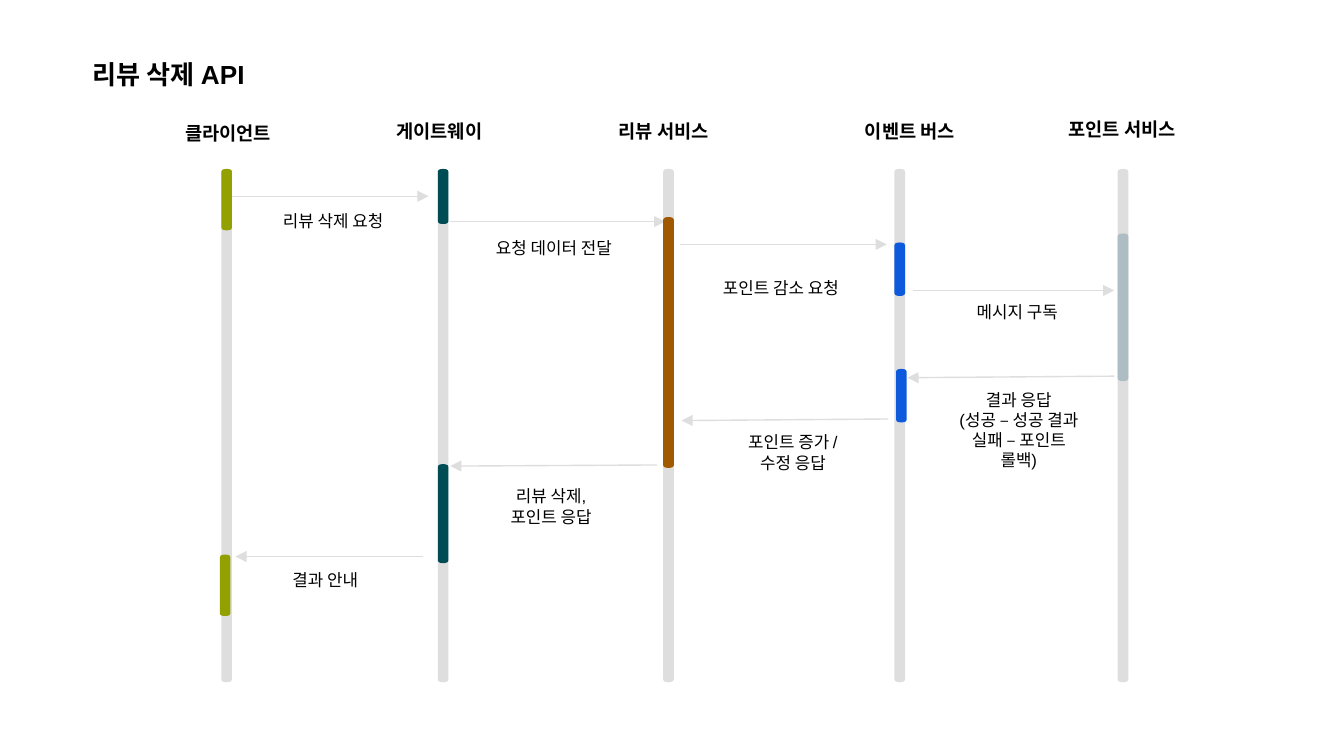
from typing import NamedTuple

from lxml import etree
from pptx import Presentation
from pptx.dml.color import RGBColor
from pptx.enum.shapes import MSO_CONNECTOR, MSO_SHAPE
from pptx.enum.text import MSO_ANCHOR, MSO_AUTO_SIZE, PP_ALIGN
from pptx.oxml.ns import qn
from pptx.util import Cm, Pt

CAN = MSO_SHAPE.CAN
STRAIGHT = MSO_CONNECTOR.STRAIGHT
TOP = MSO_ANCHOR.TOP
NO_FIT = MSO_AUTO_SIZE.NONE
LEFT, CENTER = PP_ALIGN.LEFT, PP_ALIGN.CENTER

BLACK = RGBColor(0x00, 0x00, 0x00)
GRAY = RGBColor(0xDE, 0xDE, 0xDE)
OLIVE = RGBColor(0x92, 0xA0, 0x00)
TEAL = RGBColor(0x00, 0x4C, 0x54)
BROWN = RGBColor(0xA0, 0x59, 0x00)
BLUE = RGBColor(0x0D, 0x5B, 0xDC)
STEEL = RGBColor(0xAE, 0xBC, 0xC4)

FONT = "Arial"
INSET = Cm(0.25)
LABEL_WIDTH = 2.79
HEADING_HEIGHT = 0.94
BAR_WIDTH = 0.13
LANE_TOP, LANE_HEIGHT = 3.23, 9.63


class Lane(NamedTuple):
    name: str
    left: float
    heading_left: float
    heading_top: float


class Activation(NamedTuple):
    left: float
    top: float
    height: float
    color: RGBColor


class Message(NamedTuple):
    start: tuple[float, float]
    end: tuple[float, float]
    label_left: float
    label_top: float
    label_height: float
    lines: tuple[str, ...]


LANES = [
    Lane("클라이언트", 4.22, 2.92, 2.06),
    Lane("게이트웨이", 8.31, 6.91, 2.01),
    Lane("리뷰 서비스", 12.57, 11.15, 2.01),
    Lane("이벤트 버스", 16.94, 15.8, 2.01),
    Lane("포인트 서비스", 21.16, 19.81, 1.98),
]

ACTIVATIONS = [
    Activation(4.22, 3.23, 1.09, OLIVE),
    Activation(8.31, 3.23, 0.97, TEAL),
    Activation(12.57, 4.14, 4.67, BROWN),
    Activation(16.94, 4.62, 0.94, BLUE),
    Activation(21.16, 4.45, 2.72, STEEL),
    Activation(16.97, 7.01, 0.94, BLUE),
    Activation(8.31, 8.81, 1.8, TEAL),
    Activation(4.19, 10.52, 1.09, OLIVE),
]

MESSAGES = [
    Message((4.39, 3.71), (8.1, 3.71), 4.9, 3.73, 0.89, ("리뷰 삭제 요청",)),
    Message((8.51, 4.19), (12.57, 4.19), 9.07, 4.24, 0.89, ("요청 데이터 전달",)),
    Message((12.85, 4.62), (16.76, 4.62), 13.36, 5.0, 0.89, ("포인트 감소 요청",)),
    Message((17.25, 5.49), (21.06, 5.49), 17.83, 5.46, 0.89, ("메시지 구독",)),
    Message((21.06, 7.11), (17.15, 7.14), 17.86, 7.11, 2.06,
            ("결과 응답", "(성공 – 성공 결과 실패 – 포인트 롤백)")),
    Message((16.79, 7.92), (12.88, 7.95), 13.59, 7.92, 1.27, ("포인트 증가 / 수정 응답",)),
    Message((12.42, 8.79), (8.51, 8.81), 9.02, 8.94, 1.27, ("리뷰 삭제, 포인트 응답",)),
    Message((8.0, 10.52), (4.45, 10.52), 4.75, 10.52, 0.89, ("결과 안내",)),
]


def write_text(box, lines: tuple[str, ...], size: float, bold: bool, align) -> None:
    frame = box.text_frame
    frame.word_wrap = True
    frame.auto_size = NO_FIT
    frame.vertical_anchor = TOP
    frame.margin_left = frame.margin_right = INSET
    frame.margin_top = frame.margin_bottom = INSET
    for index, line in enumerate(lines):
        para = frame.paragraphs[0] if index == 0 else frame.add_paragraph()
        para.alignment = align
        span = para.add_run()
        span.text = line
        span.font.name = FONT
        span.font.size = Pt(size)
        span.font.bold = bold
        span.font.color.rgb = BLACK


def add_label(page, left: float, top: float, height: float,
              lines: tuple[str, ...], size: float, bold: bool) -> None:
    box = page.shapes.add_textbox(Cm(left), Cm(top), Cm(LABEL_WIDTH), Cm(height))
    write_text(box, lines, size, bold, CENTER)


def add_bar(page, left: float, top: float, height: float, color: RGBColor) -> None:
    bar = page.shapes.add_shape(CAN, Cm(left), Cm(top), Cm(BAR_WIDTH), Cm(height))
    bar.shadow.inherit = False
    bar.fill.solid()
    bar.fill.fore_color.rgb = color
    bar.line.color.rgb = color
    bar.line.width = Pt(2)


def add_arrow(page, start: tuple[float, float], end: tuple[float, float]) -> None:
    points = [Cm(value) for value in (*start, *end)]
    arrow = page.shapes.add_connector(STRAIGHT, *points)
    arrow.line.color.rgb = GRAY
    arrow.line.width = Pt(0.75)
    outline = arrow.line._get_or_add_ln()
    etree.SubElement(outline, qn("a:tailEnd"), type="triangle")
    etree.SubElement(arrow._element.spPr, qn("a:effectLst"))


def add_title(page, text: str) -> None:
    title = page.shapes.title
    title.left, title.top = Cm(1.5), Cm(0.86)
    title.width, title.height = Cm(9.91), Cm(1.12)
    write_text(title, (text,), 14, True, LEFT)


def main() -> None:
    deck = Presentation()
    deck.slide_width, deck.slide_height = Cm(25.4), Cm(14.29)
    page = deck.slides.add_slide(deck.slide_layouts.get_by_name("Title Only"))
    add_title(page, "리뷰 삭제 API")
    for message in MESSAGES:
        add_arrow(page, message.start, message.end)
    for lane in LANES:
        add_label(page, lane.heading_left, lane.heading_top, HEADING_HEIGHT,
                  (lane.name,), 10, True)
        add_bar(page, lane.left, LANE_TOP, LANE_HEIGHT, GRAY)
    for activation in ACTIVATIONS:
        add_bar(page, *activation)
    for message in MESSAGES:
        add_label(page, message.label_left, message.label_top,
                  message.label_height, message.lines, 9, False)
    deck.save("out.pptx")


if __name__ == "__main__":
    main()
